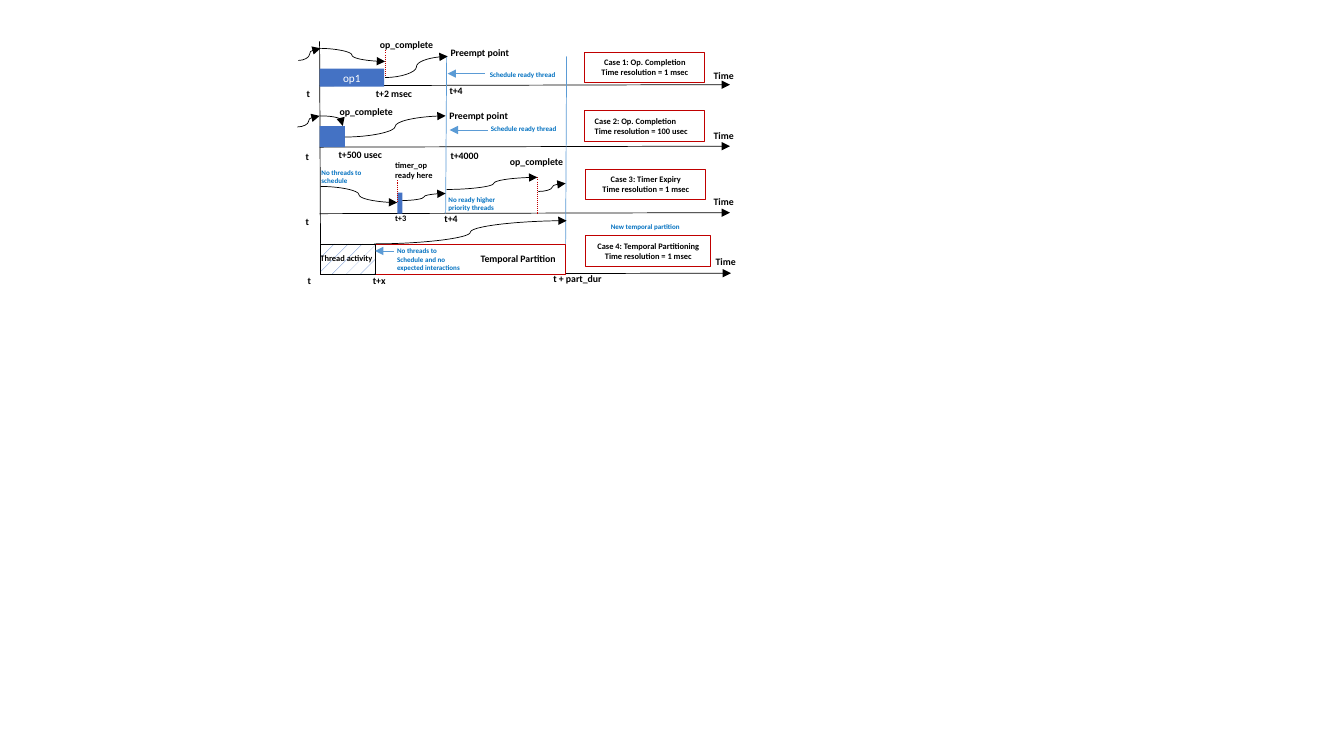
from dataclasses import dataclass

from lxml.etree import SubElement
from pptx import Presentation
from pptx.dml.color import RGBColor
from pptx.enum.dml import MSO_LINE, MSO_PATTERN
from pptx.enum.shapes import MSO_CONNECTOR as Connector, MSO_SHAPE as Shape
from pptx.enum.text import MSO_ANCHOR as Anchor, PP_ALIGN as Align
from pptx.oxml.ns import qn
from pptx.util import Inches, Pt


@dataclass(frozen=True)
class Theme:
    font: str = "Calibri"
    black: str = "000000"
    white: str = "FFFFFF"
    block: str = "4472C4"
    guide: str = "5B9BD5"
    note: str = "0070C0"
    red: str = "C00000"
    thin: float = 0.5
    medium: float = 0.75
    block_size: int = 8
    label_size: int = 7
    case_size: int = 6
    note_size: int = 5


class TimingDiagram:
    def __init__(self, slide, theme):
        self.slide = slide
        self.theme = theme

    def add_text(self, shape, text, size, color, align=Align.LEFT, anchor=Anchor.TOP, bold=True):
        frame = shape.text_frame
        frame.word_wrap = True
        frame.vertical_anchor = anchor
        for index, line in enumerate(text.split("\n")):
            paragraph = frame.paragraphs[0] if index == 0 else frame.add_paragraph()
            paragraph.alignment = align
            run = paragraph.add_run()
            run.text = line
            run.font.name = self.theme.font
            run.font.size = Pt(size)
            run.font.bold = bold
            run.font.color.rgb = RGBColor.from_string(color)

    def label(self, text, left, top, width, height=0.22, size=None, color=None):
        box = self.slide.shapes.add_textbox(
            Inches(left), Inches(top), Inches(width), Inches(height))
        self.add_text(box, text, size or self.theme.label_size, color or self.theme.black)

    def note(self, text, left, top, width, height=0.19):
        self.label(text, left, top, width, height, self.theme.note_size, self.theme.note)

    def box(self, left, top, width, height, fill=None, line=None, weight=0.5):
        shape = self.slide.shapes.add_shape(
            Shape.RECTANGLE, Inches(left), Inches(top), Inches(width), Inches(height))
        shape.shadow.inherit = False
        if fill:
            shape.fill.solid()
            shape.fill.fore_color.rgb = RGBColor.from_string(fill)
        else:
            shape.fill.background()
        if line:
            shape.line.color.rgb = RGBColor.from_string(line)
            shape.line.width = Pt(weight)
        else:
            shape.line.fill.background()
        return shape

    def case(self, text, left, top, width=1.19, align=Align.CENTER):
        shape = self.box(left, top, width, 0.3, line=self.theme.red, weight=self.theme.medium)
        self.add_text(shape, text, self.theme.case_size, self.theme.black, align)

    def line(self, start, end, color=None, weight=None, kind=Connector.STRAIGHT,
             arrow=None, dotted=False):
        connector = self.slide.shapes.add_connector(
            kind, *(Inches(value) for value in (*start, *end)))
        connector.line.color.rgb = RGBColor.from_string(color or self.theme.black)
        connector.line.width = Pt(weight or self.theme.thin)
        if dotted:
            connector.line.dash_style = MSO_LINE.ROUND_DOT
        properties = connector._element.spPr
        if arrow:
            SubElement(properties.find(qn("a:ln")), qn(f"a:{arrow}"), type="triangle")
        SubElement(properties, qn("a:effectLst"))
        return connector

    def curve(self, start, end, bend=0.5):
        connector = self.line(start, end, kind=Connector.CURVE, arrow="tailEnd")
        geometry = connector._element.spPr.find(qn("a:prstGeom"))
        adjustments = geometry.find(qn("a:avLst"))
        if adjustments is None:
            adjustments = SubElement(geometry, qn("a:avLst"))
        SubElement(adjustments, qn("a:gd"), name="adj1", fmla=f"val {round(bend * 100000)}")

    def dotted(self, x, top, bottom):
        self.line((x, top), (x, bottom), self.theme.red, self.theme.medium, dotted=True)

    def pointer(self, left, right, y):
        self.line((left, y), (right, y), self.theme.guide, arrow="headEnd")


presentation = Presentation()
presentation.slide_width = Inches(13.33)
presentation.slide_height = Inches(7.5)
theme = Theme()
diagram = TimingDiagram(presentation.slides.add_slide(presentation.slide_layouts[6]), theme)

# Start line, time axes and vertical guides
diagram.line((3.17, 0.41), (3.18, 2.72))
for start, y in ((3.17, 0.85), (3.17, 1.46), (3.17, 2.12), (3.18, 2.72)):
    diagram.line((start, y), (start + 4.07, y - 0.01), arrow="tailEnd")
for x, bottom in ((4.43, 2.12), (5.62, 2.42)):
    diagram.line((x, 0.56), (x - 0.01, bottom), theme.guide)

# Operation blocks
operation = diagram.box(3.17, 0.68, 0.64, 0.18, theme.block)
diagram.add_text(operation, "op1", theme.block_size, theme.white,
                 Align.CENTER, Anchor.MIDDLE, False)
diagram.box(3.17, 1.25, 0.25, 0.21, theme.block)
diagram.box(3.94, 1.91, 0.05, 0.21, theme.block)

# Temporal partition with its thread activity
partition = diagram.box(3.18, 2.42, 2.43, 0.3, theme.white, theme.red)
diagram.add_text(partition, "Temporal Partition", theme.label_size, theme.black,
                 Align.RIGHT, Anchor.MIDDLE)
activity = diagram.box(3.18, 2.42, 0.54, 0.3, line=theme.black)
activity.fill.patterned()
activity.fill.pattern = MSO_PATTERN.PERCENT_5
activity.fill.fore_color.rgb = RGBColor.from_string(theme.block)
activity.fill.back_color.rgb = RGBColor.from_string(theme.white)

# Dotted event markers
for x, top, bottom in ((3.82, 0.5, 0.77), (5.33, 1.76, 2.12), (3.94, 1.79, 2.01)):
    diagram.dotted(x, top, bottom)

# Control flow between events
for flow in (
    ((2.96, 0.6), (3.18, 0.48)),
    ((3.16, 0.48), (3.82, 0.61)),
    ((3.82, 0.77), (4.44, 0.56)),
    ((2.95, 1.26), (3.17, 1.15)),
    ((3.17, 1.15), (3.4, 1.25), 1.02),
    ((3.42, 1.36), (4.42, 1.15)),
    ((3.18, 1.85), (3.94, 2.01)),
    ((3.99, 1.99), (4.42, 1.92)),
    ((4.43, 1.88), (5.33, 1.76), 0.52),
    ((5.34, 1.9), (5.61, 1.82)),
    ((3.71, 2.42), (5.62, 2.19)),
):
    diagram.curve(*flow)

# Pointers to the notes
for left, right, y in ((4.44, 4.81, 0.73), (4.46, 4.84, 1.29), (3.72, 3.91, 2.49)):
    diagram.pointer(left, right, y)

# Axis labels
for left, top in ((3.02, 0.82), (3.01, 1.45), (3.01, 2.09), (3.03, 2.68)):
    diagram.label("t", left, top, 0.12)
for left, top in ((6.98, 0.64), (6.98, 1.24), (6.98, 1.89), (7, 2.49)):
    diagram.label("Time", left, top, 0.44)

# Time and event labels
for label in (
    ("t+2 msec", 3.63, 0.82, 0.66),
    ("t+4", 4.36, 0.79, 0.39),
    ("t+500 usec", 3.26, 1.43, 0.66),
    ("t+4000", 4.37, 1.44, 0.66),
    ("t+4", 4.31, 2.06, 0.37),
    ("t+x", 3.6, 2.68, 0.37),
    ("t + part_dur", 5.39, 2.66, 0.84),
    ("op_complete", 3.67, 0.33, 0.84),
    ("op_complete", 3.27, 1, 0.84),
    ("op_complete", 4.96, 1.5, 0.84),
    ("Preempt point", 4.37, 0.41, 1.36),
    ("Preempt point", 4.36, 1.04, 1.36),
    ("timer_op\nready here", 3.82, 1.54, 0.84, 0.3, theme.case_size),
    ("t+3", 3.82, 2.07, 0.34, 0.2, theme.case_size),
    ("Thread activity", 3.08, 2.46, 0.84, 0.2, theme.case_size),
):
    diagram.label(*label)

# Scheduling notes
for note in (
    ("Schedule ready thread", 4.76, 0.65, 1.36),
    ("Schedule ready thread", 4.77, 1.19, 1.36),
    ("No threads to\nschedule", 3.09, 1.62, 0.7, 0.27),
    ("No ready higher priority threads", 4.35, 1.89, 0.67, 0.27),
    ("No threads to\nSchedule and no expected interactions", 3.84, 2.4, 0.87, 0.35),
    ("New temporal partition", 5.96, 2.16, 1.36),
):
    diagram.note(*note)

# Case captions
diagram.case("Case 1: Op. Completion\nTime resolution = 1 msec", 5.8, 0.52)
diagram.case("Case 2: Op. Completion\nTime resolution = 100 usec", 5.8, 1.1, align=Align.LEFT)
diagram.case("Case 3: Timer Expiry\nTime resolution = 1 msec", 5.81, 1.68)
diagram.case("Case 4: Temporal Partitioning\nTime resolution = 1 msec", 5.81, 2.34, 1.24)

presentation.save("out.pptx")
